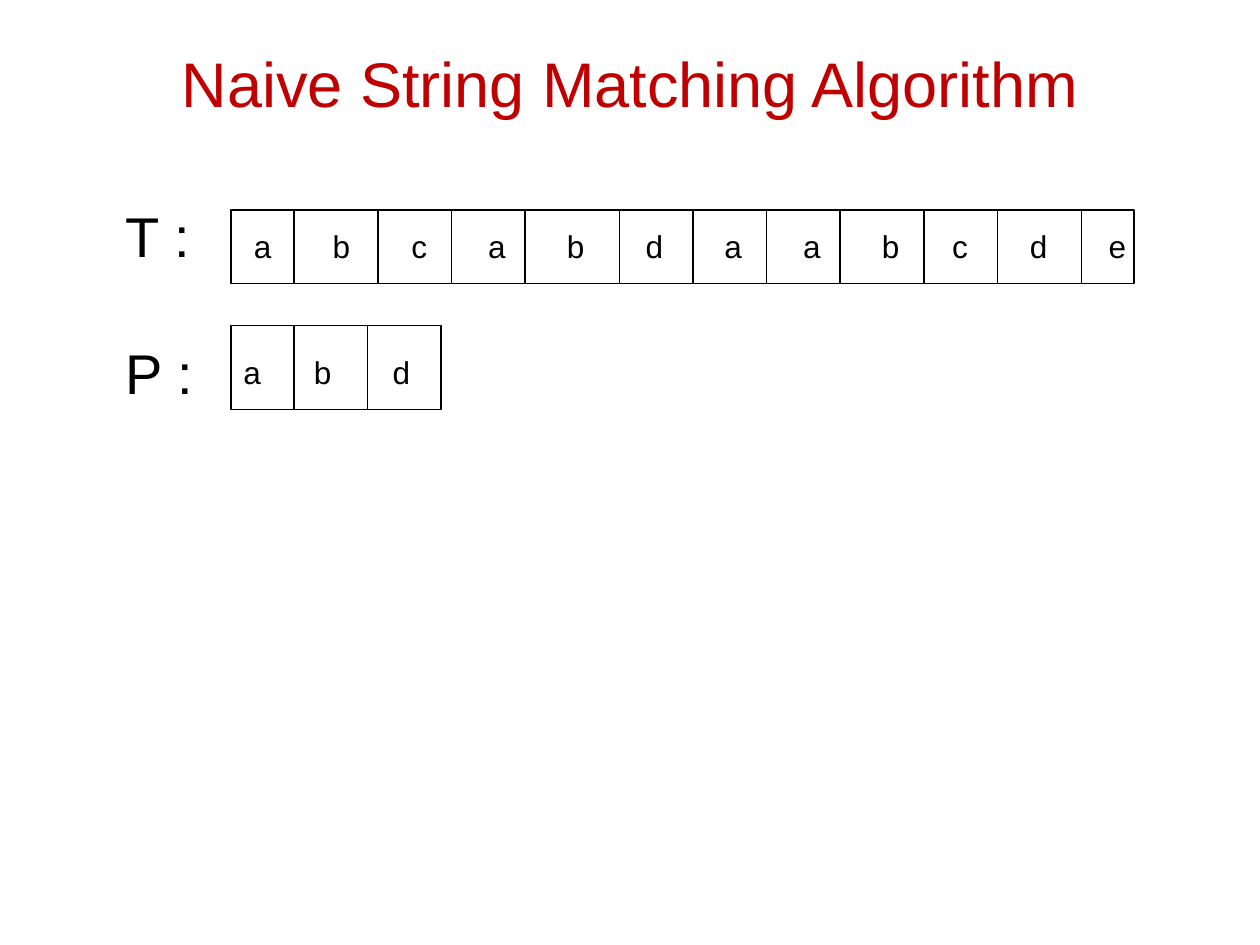
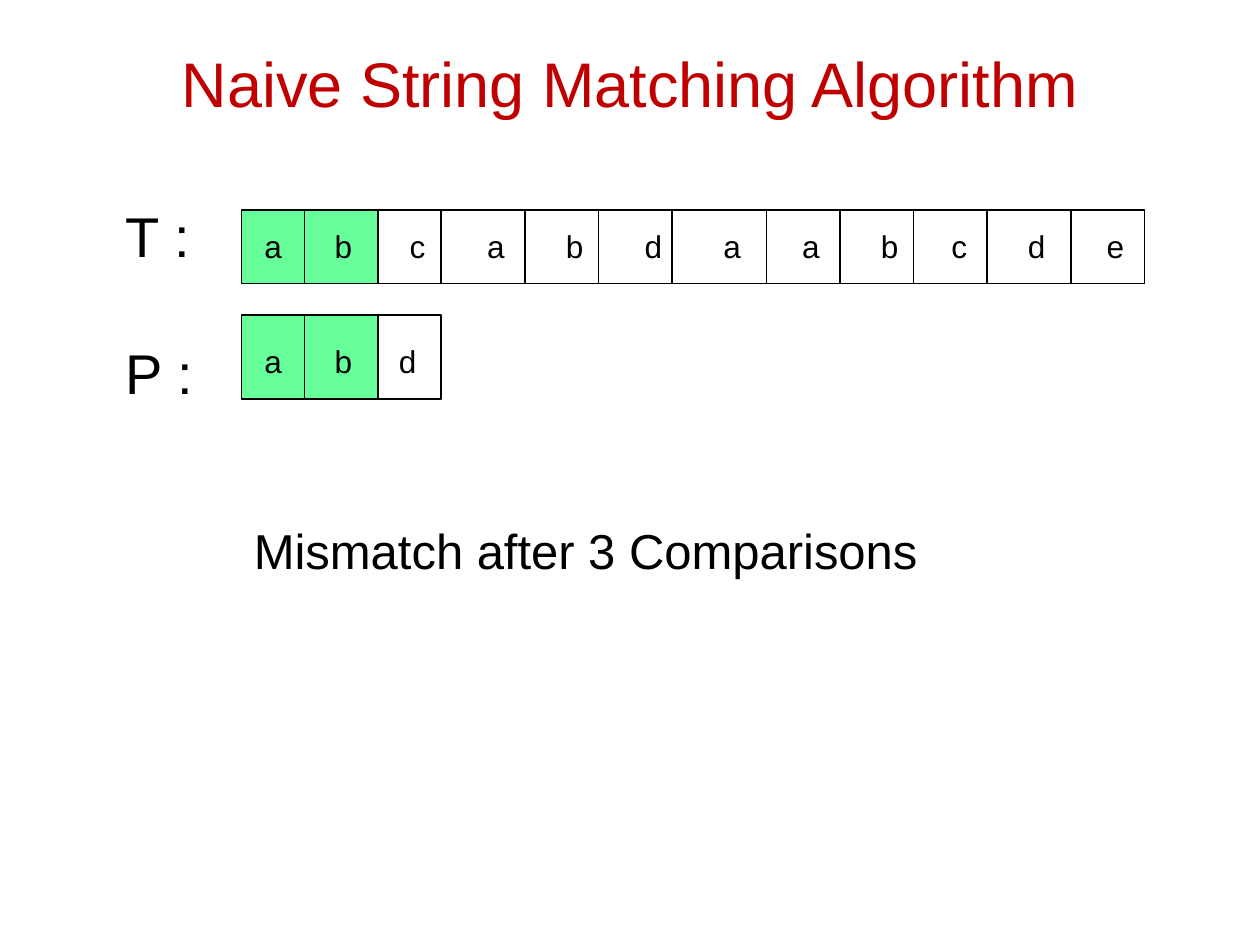
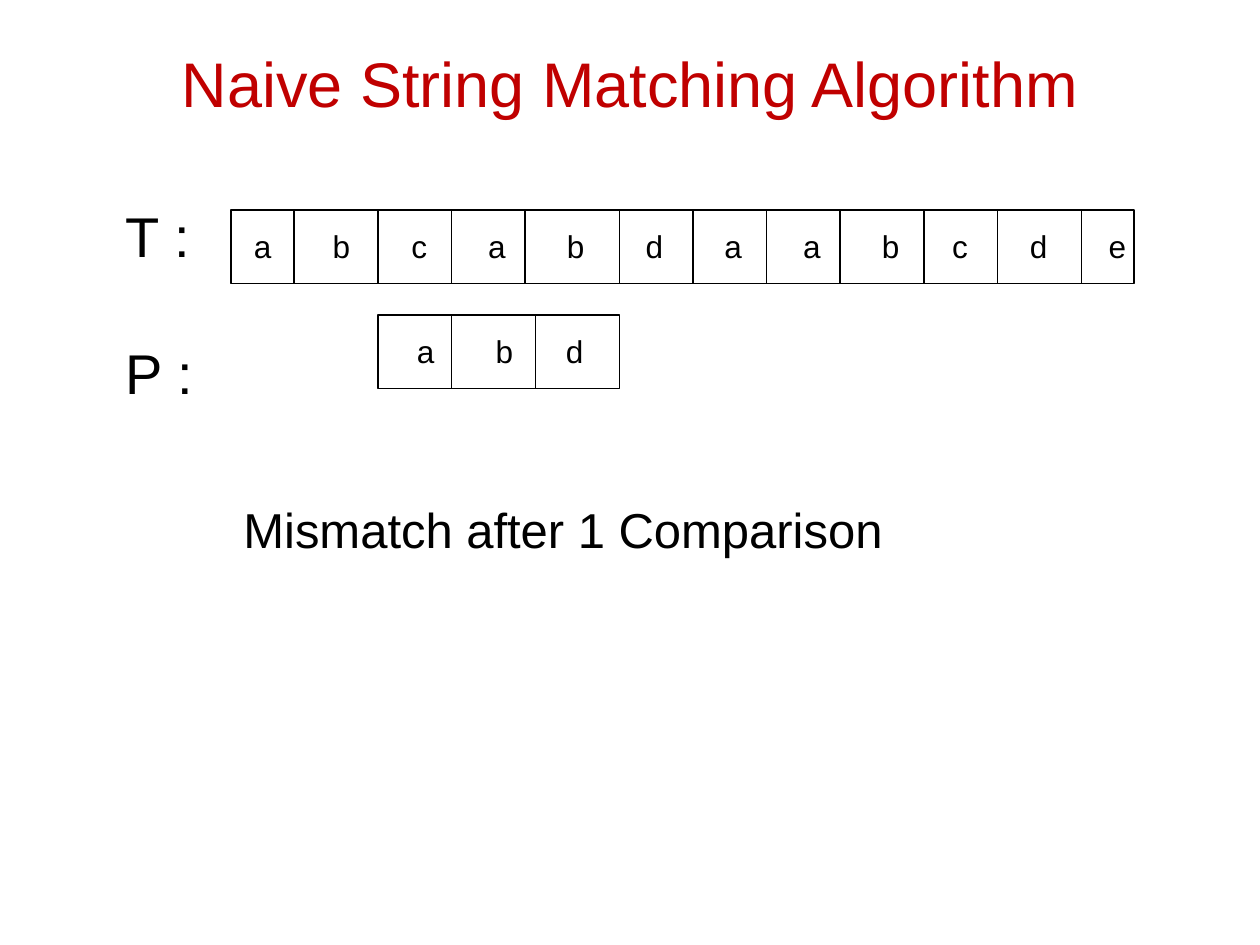
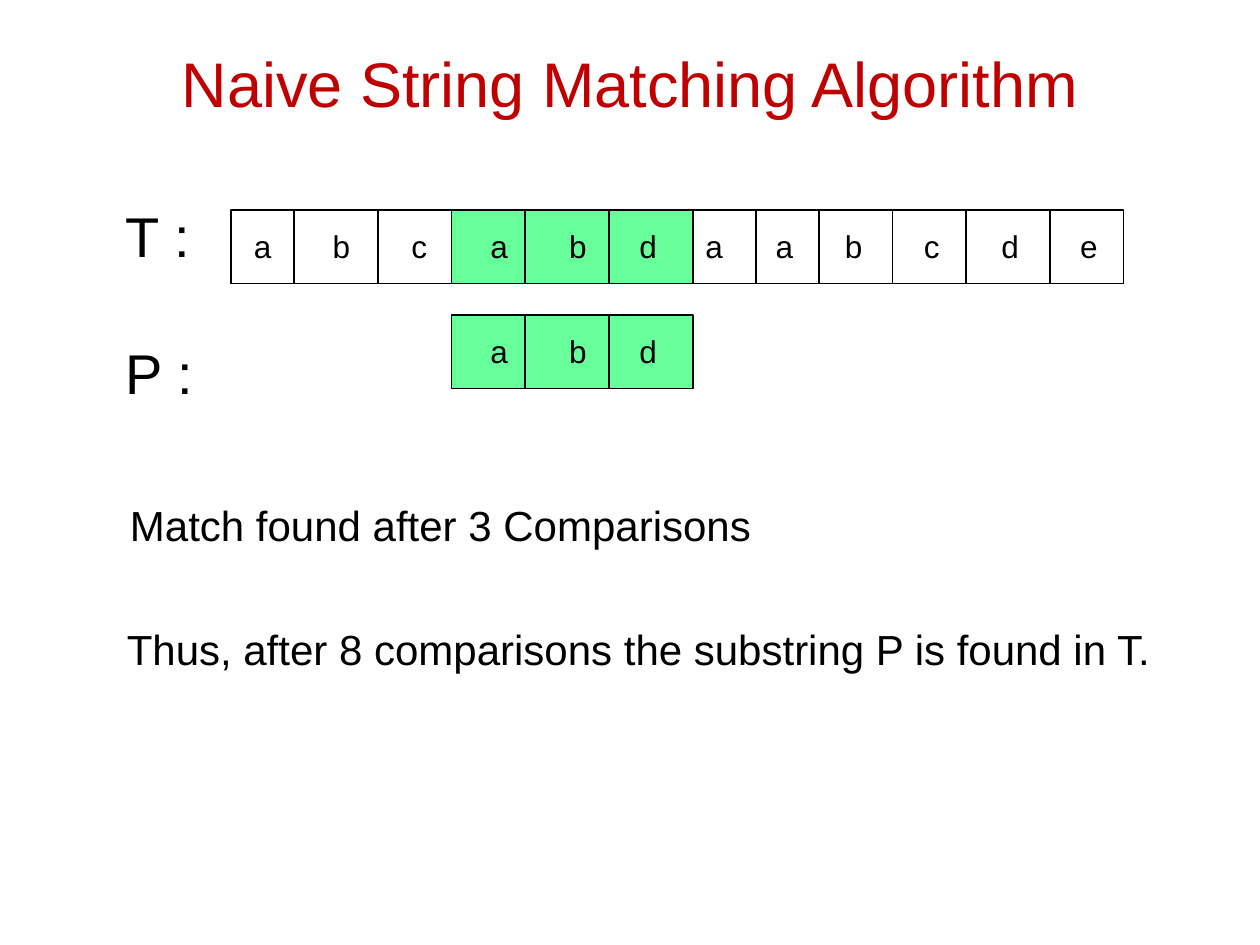
from lxml.etree import SubElement
from pptx import Presentation
from pptx.dml.color import RGBColor
from pptx.enum.shapes import MSO_CONNECTOR as CONNECTOR, MSO_SHAPE as SHAPE
from pptx.enum.text import MSO_ANCHOR as ANCHOR, PP_ALIGN as ALIGN
from pptx.oxml.ns import qn
from pptx.util import Pt

PX = 7620  # EMU per px, 120 px to the inch
FONT = "Arial"
TITLE = "Naive String Matching Algorithm"
COLORS = {"title": "C00000", "ink": "000000", "match": "66FF99"}
RGB = {name: RGBColor.from_string(value) for name, value in COLORS.items()}
TEXT_TOP, TEXT_HEIGHT = 200, 70


def add_text(slide, text, left, top, width, height, size):
    box = slide.shapes.add_textbox(left * PX, top * PX, width * PX, height * PX)
    box.text_frame.word_wrap = True
    box.text_frame.text = text
    for para in box.text_frame.paragraphs:
        para.font.size = Pt(size)
        para.font.name = FONT
        para.font.color.rgb = RGB["ink"]
    return box.text_frame


def add_strip(slide, top, height, edges, letters, letter_lefts, box_left, box_width, matched):
    # Frame
    frame = slide.shapes.add_shape(
        SHAPE.RECTANGLE, edges[0] * PX, top * PX, (edges[-1] - edges[0]) * PX, height * PX)
    frame.shadow.inherit = False
    if matched:
        frame.fill.solid()
        frame.fill.fore_color.rgb = RGB["match"]
    else:
        frame.fill.background()
    frame.line.color.rgb = RGB["ink"]
    frame.line.width = Pt(0.75)

    # Dividers between the cells
    for x in edges[1:-1]:
        divider = slide.shapes.add_connector(
            CONNECTOR.STRAIGHT, x * PX, top * PX, x * PX, (top + height) * PX)
        divider.line.color.rgb = RGB["ink"]
        divider.line.width = Pt(0.75)
        SubElement(divider._element.spPr, qn("a:effectLst"))

    # Letters, spaced by tab stops
    frame_text = add_text(
        slide, "\t".join(letters), box_left, top + height - 60, box_width, 48, 18)
    frame_text.margin_left = (letter_lefts[0] - box_left) * PX
    if len(letters) > 1:
        properties = frame_text.paragraphs[0]._p.get_or_add_pPr()
        tabs = SubElement(properties, qn("a:tabLst"))
        # The schema wants the tab list ahead of the default run properties
        properties.remove(tabs)
        properties.insert(0, tabs)
        for x in letter_lefts[1:]:
            SubElement(tabs, qn("a:tab"), pos=str((x - letter_lefts[0]) * PX), algn="l")


# Strips: top, height, edges, letters, letter lefts, box left, box width, matched
whole_text = (
    TEXT_TOP, TEXT_HEIGHT,
    [220, 280, 360, 430, 500, 590, 660, 730, 800, 880, 950, 1030, 1080],
    "abcabdaabcde",
    [242, 317, 392, 465, 540, 615, 690, 765, 840, 907, 981, 1056], 230, 863, False)
third_edges, third_lefts = [430, 500, 580, 660], [467, 542, 609]

# Captions: text, left, top, width, height, size
steps = [
    {"strips": [
        whole_text,
        (310, 80, [220, 280, 350, 420], "abd", [232, 299, 374], 220, 522, False)],
     "captions": []},
    {"strips": [
        (TEXT_TOP, TEXT_HEIGHT, [230, 290, 360], "ab", [252, 319], 240, 120, True),
        (TEXT_TOP, TEXT_HEIGHT,
         [360, 420, 500, 570, 640, 730, 800, 870, 940, 1020, 1090], "cabdaabcde",
         [390, 464, 539, 614, 689, 764, 839, 906, 979, 1054], 370, 721, False),
        (300, 80, [230, 290, 360], "ab", [252, 319], 240, 120, True),
        (300, 80, [360, 420], "d", [380], 360, 80, False)],
     "captions": [("Mismatch after 3 Comparisons", 230, 490, 810, 68, 28)]},
    {"strips": [
        whole_text,
        (300, 70, [360, 430, 510, 590], "abd", [397, 472, 539], 360, 220, False)],
     "captions": [("Mismatch after 1 Comparison", 220, 470, 810, 68, 28)]},
    {"strips": [
        (TEXT_TOP, TEXT_HEIGHT, [220, 280, 360, 430], "abc", [242, 317, 392], 230, 190, False),
        (TEXT_TOP, TEXT_HEIGHT, third_edges, "abd", third_lefts, 430, 220, True),
        (TEXT_TOP, TEXT_HEIGHT, [660, 720, 780, 850, 920, 1000, 1070], "aabcde",
         [672, 739, 805, 880, 954, 1029], 660, 490, False),
        (300, 70, third_edges, "abd", third_lefts, 430, 220, True)],
     "captions": [
         ("Match found after 3 Comparisons", 112, 470, 941, 60, 24),
         ("Thus, after 8 comparisons the substring P is found in T.", 109, 588, 1010, 60, 24)]},
]

deck = Presentation()
deck.slide_width, deck.slide_height = 1200 * PX, 900 * PX

for step in steps:
    page = deck.slides.add_slide(deck.slide_layouts[5])

    # Title
    title = page.shapes.title
    title.left, title.top, title.width, title.height = 60 * PX, 36 * PX, 1080 * PX, 84 * PX
    title.text_frame.text = TITLE
    title.text_frame.vertical_anchor = ANCHOR.MIDDLE
    para = title.text_frame.paragraphs[0]
    para.alignment = ALIGN.CENTER
    span = para.runs[0]
    span.font.size = Pt(36)
    span.font.name = FONT
    span.font.color.rgb = RGB["title"]

    # Row labels
    labels = add_text(page, "T :\nP :", 108, 180, 92, 204, 32)
    labels.margin_top = 12 * PX
    labels.paragraphs[1].space_before = Pt(40)

    # Text, pattern and result
    for strip in step["strips"]:
        add_strip(page, *strip)
    for caption in step["captions"]:
        add_text(page, *caption)

deck.save("out.pptx")
